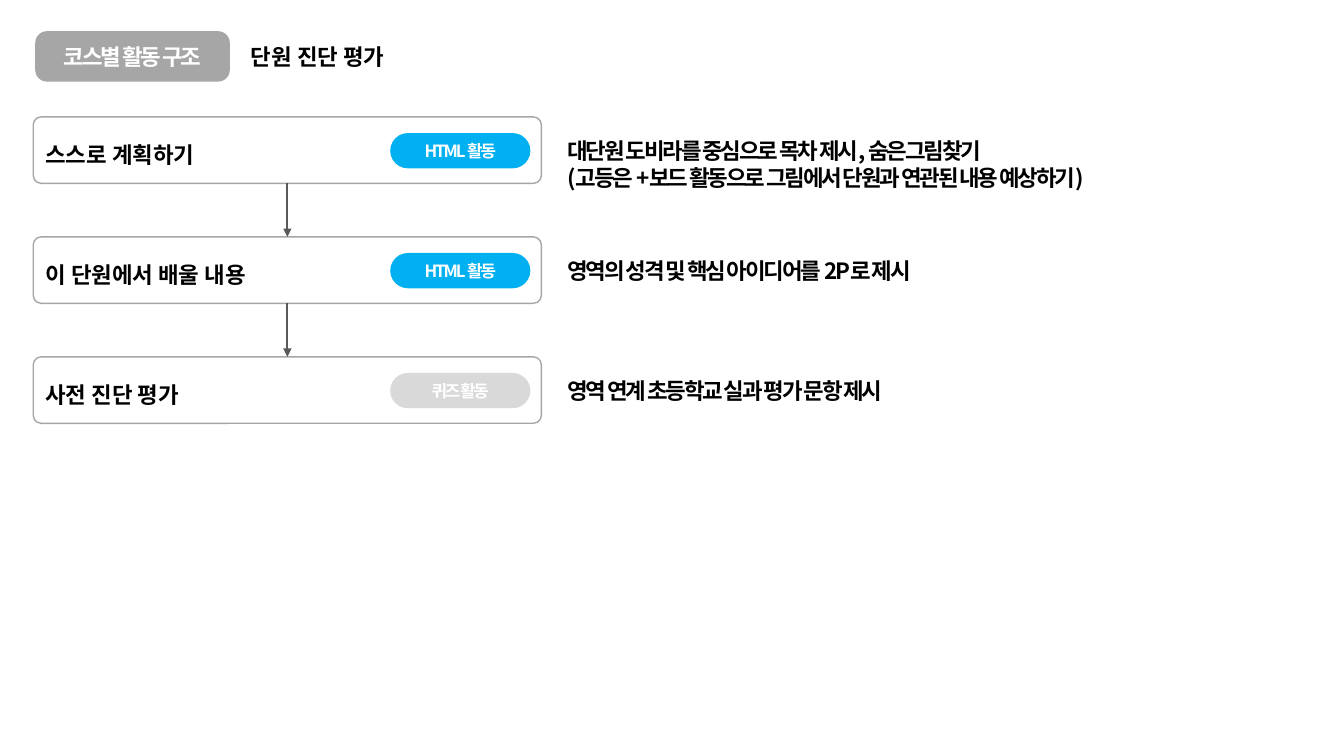
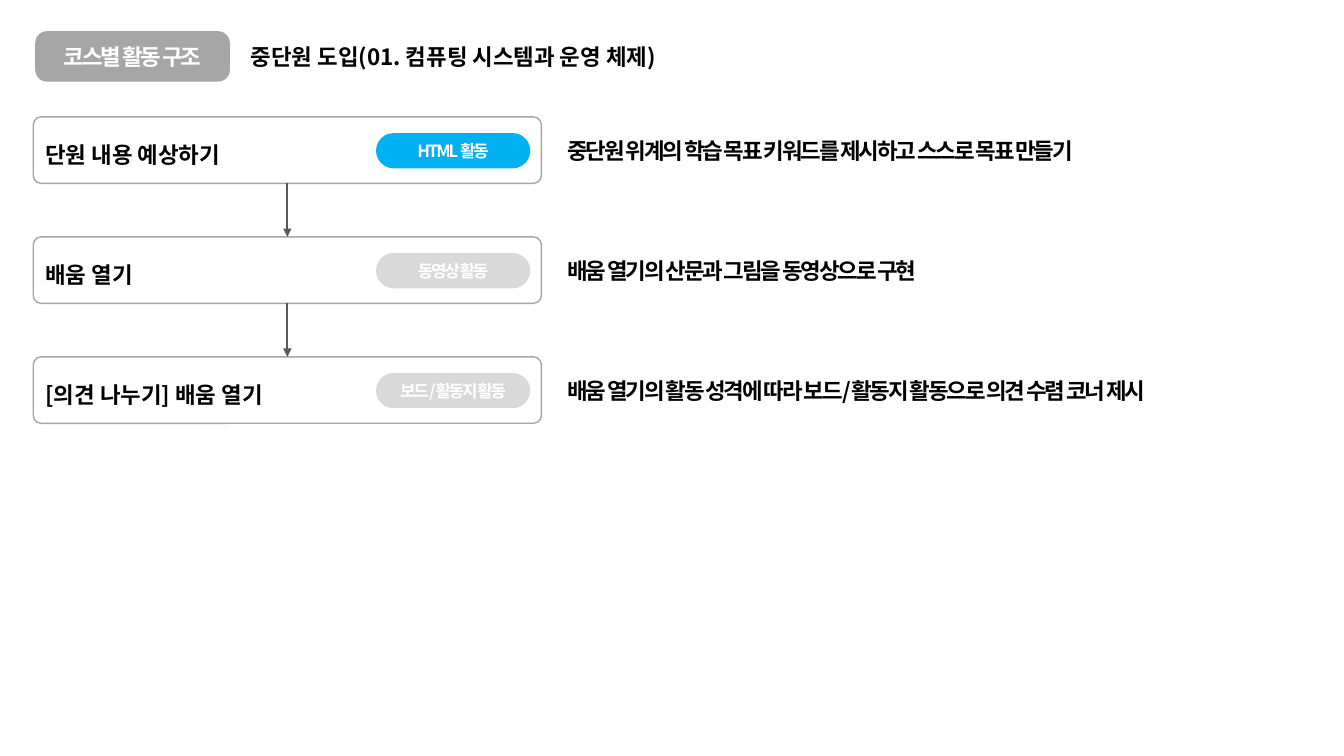
import pptx
import pptx.dml.color
import pptx.enum.shapes
import pptx.enum.text
import pptx.oxml.ns
import pptx.util
from lxml import etree
from pptx.util import Inches

THEME = {
    "font": "Noto Sans CJK KR",
    "text": "000000", "white": "FFFFFF", "gray": "A6A6A6",
    "active": "00B0F0", "inactive": "D9D9D9", "arrow": "595959",
    "body": 16, "pill": 12, "tight": -150,
}
ROW_TOP, ROW_PITCH, ROW_H = 1.16, 1.19, 0.66
PILL_RIGHT, PILL_H = 5.26, 0.35

# title, pill width, rows of (step, pill label, pill colour, description, description width)
SLIDES = [
    ("단원 진단 평가", 1.39, [
        ("스스로 계획하기", "HTML 활동", "active",
         "대단원 도비라를 중심으로 목차 제시, 숨은그림찾기\n"
         "(고등은 +보드 활동으로 그림에서 단원과 연관된 내용 예상하기)", 5.88),
        ("이 단원에서 배울 내용", "HTML 활동", "active",
         "영역의 성격 및 핵심 아이디어를 2P로 제시", 5.88),
        ("사전 진단 평가", "퀴즈 활동", "inactive",
         "영역 연계 초등학교 실과 평가 문항 제시", 5.88),
    ]),
    ("중단원 도입(01. 컴퓨팅 시스템과 운영 체제)", 1.53, [
        ("단원 내용 예상하기", "HTML 활동", "active",
         "중단원 위계의 학습 목표 키워드를 제시하고 스스로 목표 만들기", 6.28),
        ("배움 열기", "동영상 활동", "inactive",
         "배움 열기의 산문과 그림을 동영상으로 구현", 5.88),
        ("[의견 나누기] 배움 열기", "보드/활동지 활동", "inactive",
         "배움 열기의 활동 성격에 따라 보드/활동지 활동으로 의견 수렴 코너 제시", 6.84),
    ]),
]


def rgb(name):
    return pptx.dml.color.RGBColor.from_string(THEME[name])


def add_text_shape(s, box, text, fill=None, line=None, radius=None, size="body",
                   color="text", tight=False, align="LEFT", spacing=None):
    """Add a rounded box when radius is given, otherwise a text box that grows."""
    box = [Inches(v) for v in box]
    if radius is None:
        sp = s.shapes.add_textbox(*box)
        sp.text_frame.auto_size = pptx.enum.text.MSO_AUTO_SIZE.SHAPE_TO_FIT_TEXT
    else:
        sp = s.shapes.add_shape(pptx.enum.shapes.MSO_SHAPE.ROUNDED_RECTANGLE, *box)
        sp.adjustments[0] = radius
        sp.shadow.inherit = False
        sp.text_frame.vertical_anchor = pptx.enum.text.MSO_ANCHOR.MIDDLE
        for part, name in ((sp.fill, fill), (sp.line.fill, line)):
            if name:
                part.solid()
                part.fore_color.rgb = rgb(name)
            else:
                part.background()
        if line:
            sp.line.width = pptx.util.Pt(1)
    tf = sp.text_frame
    tf.word_wrap = True
    tf.text = text
    font_format = {"name": THEME["font"], "size": pptx.util.Pt(THEME[size]), "bold": True}
    for p in tf.paragraphs:
        p.alignment = getattr(pptx.enum.text.PP_ALIGN, align)
        p.line_spacing = spacing
        for r in p.runs:
            for key, value in font_format.items():
                setattr(r.font, key, value)
            r.font.color.rgb = rgb(color)
            rpr = r._r.get_or_add_rPr()
            etree.SubElement(rpr, pptx.oxml.ns.qn("a:ea"), typeface=THEME["font"])
            if tight:
                rpr.set("spc", str(THEME["tight"]))
    return sp


prs = pptx.Presentation()
prs.slide_width, prs.slide_height = Inches(13.33), Inches(7.5)
badge = {"color": "white", "tight": True, "align": "CENTER"}

for title, pill_w, rows in SLIDES:
    s = prs.slides.add_slide(prs.slide_layouts[6])
    add_text_shape(s, (2.39, 0.38, 5.29, 0.37), title)
    add_text_shape(s, (0.35, 0.31, 1.93, 0.5), "코스별 활동 구조",
                   fill="gray", radius=0.23, **badge)

    previous = None
    for i, (step, label, pill_color, description, width) in enumerate(rows):
        top = ROW_TOP + i * ROW_PITCH
        step_box = add_text_shape(s, (0.33, top, 5.04, ROW_H), step,
                                  line="gray", radius=0.12, spacing=1.3)
        add_text_shape(s, (PILL_RIGHT - pill_w, top + 0.16, pill_w, PILL_H), label,
                       fill=pill_color, radius=0.5, size="pill", **badge)
        height = 0.1 + 0.27 * len(description.split("\n"))
        add_text_shape(s, (5.53, top + 0.15, width, height), description, tight=True)

        if previous is not None:
            arrow = s.shapes.add_connector(
                pptx.enum.shapes.MSO_CONNECTOR.STRAIGHT, 0, 0, 0, 0)
            arrow.begin_connect(previous, 2)
            arrow.end_connect(step_box, 0)
            arrow.line.color.rgb = rgb("arrow")
            arrow.line.width = pptx.util.Pt(1.25)
            etree.SubElement(arrow.line._get_or_add_ln(),
                             pptx.oxml.ns.qn("a:tailEnd"), type="triangle")
            etree.SubElement(arrow._element.spPr, pptx.oxml.ns.qn("a:effectLst"))
        previous = step_box

prs.save("out.pptx")
